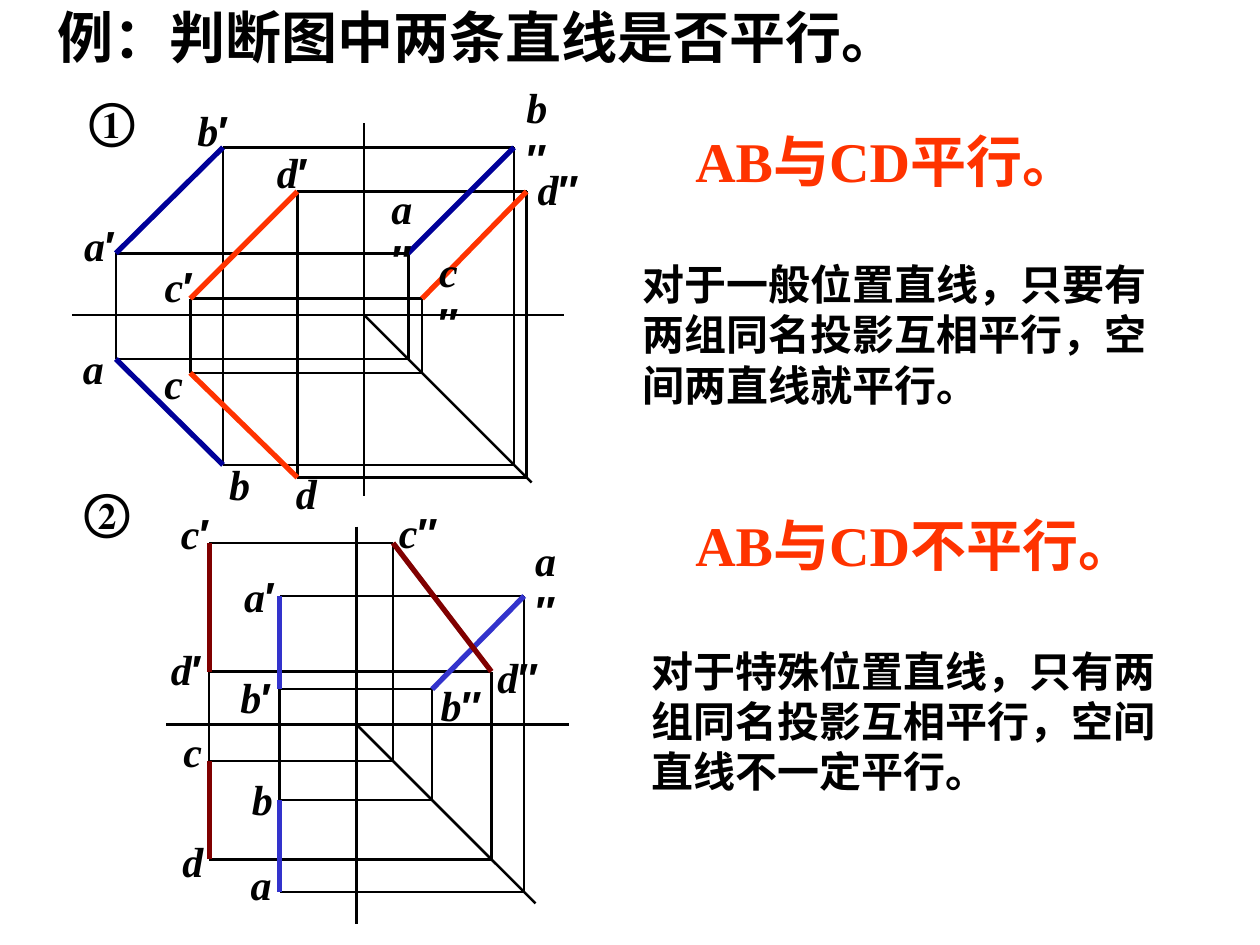
import dataclasses

import pptx
import pptx.dml.color
import pptx.enum.shapes
import pptx.enum.text
import pptx.oxml.ns
import pptx.util
from lxml import etree

ALIGN = pptx.enum.text.PP_ALIGN
COLS, ROWS = 100, 75
CELL = pptx.util.Inches(10) // COLS


@dataclasses.dataclass(frozen=True)
class Theme:
    black: str = "000000"
    accent: str = "FF3300"
    navy: str = "000099"
    blue: str = "3333CC"
    maroon: str = "800000"
    cjk: str = "Roboto"
    latin: str = "Times New Roman"
    mark: str = "Arial"
    title: int = 32
    number: int = 28
    body: int = 24
    thin: float = 1.5
    thick: float = 3


T = Theme()

# Points are (x, y, z) distances from the origin, in grid cells.
# Labels are (dx, dy[, width]): label centre from the projected point.
CASES = [
    dict(
        box=(5, 6.6, 90, 31), number="①", number_box=(0.7, 0, 6.5, 5.7),
        views=(0.7, 3.2, 39.1, 29.6), origin=(23.2, 15.2), diagonal=13.3,
        points={"a": (19.7, 3.5, 4.9), "b": (11.2, 11.9, 13.3),
                "c": (13.8, 4.6, 1.3), "d": (5.3, 12.9, 9.8)},
        segments=[("a", "b", T.navy), ("c", "d", T.accent)],
        labels={"a′": (-1.3, -0.7), "b′": (-0.8, -1.4),
                "c′": (-0.9, -1), "d′": (-0.4, -1.6),
                "a": (-1.8, 0.7), "b": (1.3, 1.5),
                "c": (-1.3, 0.8), "d": (0.7, 1.2),
                "a″": (-0.5, -1.6, 5.2), "b″": (1.8, -1.2, 5.2),
                "c″": (2.1, -0.2, 5), "d″": (2.5, -0.2)},
        verdict="平行。", verdict_box=(49.2, 2.9, 35.6, 6.4),
        reason="对于一般位置直线，只要有两组同名投影互相平行，空间两直线就平行。",
        reason_box=(45, 13.4, 44.4, 13)),
    dict(
        box=(5, 37.6, 90, 36), number="②", number_box=(0.7, 0, 5.6, 5.7),
        views=(8.2, 4.2, 32, 31.5), origin=(15.1, 15.7), diagonal=14.2,
        points={"a": (6.1, 13.3, 10.2), "b": (6.1, 6, 2.8),
                "c": (11.7, 2.9, 14.4), "d": (11.7, 10.7, 4.2)},
        segments=[("a", "b", T.blue), ("c", "d", T.maroon)],
        labels={"a′": (-1.6, 0), "b′": (-1.9, 0.6),
                "c′": (-1.1, -0.8), "d′": (-1.8, -0.2),
                "a": (-1.5, -0.7), "b": (-1.4, -0.1),
                "c": (-1.3, -0.8), "d": (-1.3, 0.1),
                "a″": (1.7, -0.9, 5.2), "b″": (2.3, 1.2),
                "c″": (2, -0.9), "d″": (2.1, 0.4)},
        verdict="不平行。", verdict_box=(49.2, 2.4, 40, 6.4),
        reason="对于特殊位置直线，只有两组同名投影互相平行，空间直线不一定平行。",
        reason_box=(45.7, 13.1, 43.6, 13)),
]


def cells(*values):
    return [round(v * CELL) for v in values]


def inside(box, part):
    """Move a part's box from its parent's corner to the slide's."""
    return (box[0] + part[0], box[1] + part[1], *part[2:])


def add_text(s, box, runs, size, color=T.black, align=ALIGN.LEFT, wrap=False):
    """Add one paragraph; runs are (text, font name, italic)."""
    tf = s.shapes.add_textbox(*cells(*box)).text_frame
    tf.word_wrap = wrap
    tf.vertical_anchor = pptx.enum.text.MSO_ANCHOR.MIDDLE
    p = tf.paragraphs[0]
    p.alignment = align
    for text, name, italic in runs:
        r = p.add_run()
        r.text = text
        style = dict(name=name, size=pptx.util.Pt(size), bold=True, italic=italic)
        for key, value in style.items():
            setattr(r.font, key, value)
        r.font.color.rgb = pptx.dml.color.RGBColor.from_string(color)
        if name == T.cjk:
            etree.SubElement(r.font._element, pptx.oxml.ns.qn("a:ea"), typeface=name)


def add_line(s, start, end, color=T.black, width=T.thin):
    sp = s.shapes.add_connector(
        pptx.enum.shapes.MSO_CONNECTOR.STRAIGHT, *cells(*start, *end))
    sp.line.color.rgb = pptx.dml.color.RGBColor.from_string(color)
    sp.line.width = pptx.util.Pt(width)
    etree.SubElement(sp._element.spPr, pptx.oxml.ns.qn("a:effectLst"))


def project(origin, point):
    """Return the front, top, side and diagonal positions of a point."""
    (ox, oy), (x, y, z) = origin, point
    return {"′": (ox - x, oy - z), "": (ox - x, oy + y),
            "″": (ox + y, oy - z), "fold": (ox + y, oy + y)}


def draw_views(s, box, case):
    left, top, width, height = box
    ox, oy = origin = inside(box, case["origin"])
    reach = case["diagonal"]
    add_line(s, (left, oy), (left + width, oy))
    add_line(s, (ox, top), (ox, top + height))
    add_line(s, origin, (ox + reach, oy + reach))

    views = {n: project(origin, pt) for n, pt in case["points"].items()}
    for view in views.values():
        corners = [view[k] for k in ("″", "′", "", "fold", "″")]
        for start, end in zip(corners, corners[1:]):
            add_line(s, start, end)
    for first, last, color in case["segments"]:
        for mark in ("′", "", "″"):
            add_line(s, views[first][mark], views[last][mark], color, T.thick)
    for label, offset in case["labels"].items():
        draw_label(s, views[label[0]][label[1:]], label, *offset)


def draw_label(s, point, label, dx, dy, width=None):
    """Centre a label near a point; a given width makes it wrap."""
    name, mark = label[0], label[1:]
    w, h = width or {"": 3.6, "′": 4.8, "″": 7.2}[mark], 5
    runs = [(name, T.latin, True)] + ([(mark, T.mark, False)] if mark else [])
    box = (point[0] + dx - w / 2, point[1] + dy - h / 2, w, h)
    add_text(s, box, runs, T.body, align=ALIGN.CENTER, wrap=width is not None)


def draw_case(s, box, case):
    draw_views(s, inside(box, case["views"]), case)
    add_text(s, inside(box, case["number_box"]),
             [(case["number"], T.latin, False)], T.number, align=ALIGN.CENTER)
    verdict = [("AB", T.latin, False), ("与", T.cjk, False),
               ("CD", T.latin, False), (case["verdict"], T.cjk, False)]
    add_text(s, inside(box, case["verdict_box"]), verdict, T.title, T.accent)
    add_text(s, inside(box, case["reason_box"]),
             [(case["reason"], T.cjk, False)], T.body, wrap=True)


def draw_title(s, box):
    add_text(s, box, [("例：判断图中两条直线是否平行。", T.cjk, False)], T.title)


def main():
    prs = pptx.Presentation()
    prs.slide_width, prs.slide_height = cells(COLS, ROWS)
    s = prs.slides.add_slide(prs.slide_layouts[6])
    draw_title(s, (3.6, -0.3, 68.7, 6.4))
    for case in CASES:
        draw_case(s, case["box"], case)
    prs.save("out.pptx")


if __name__ == "__main__":
    main()
